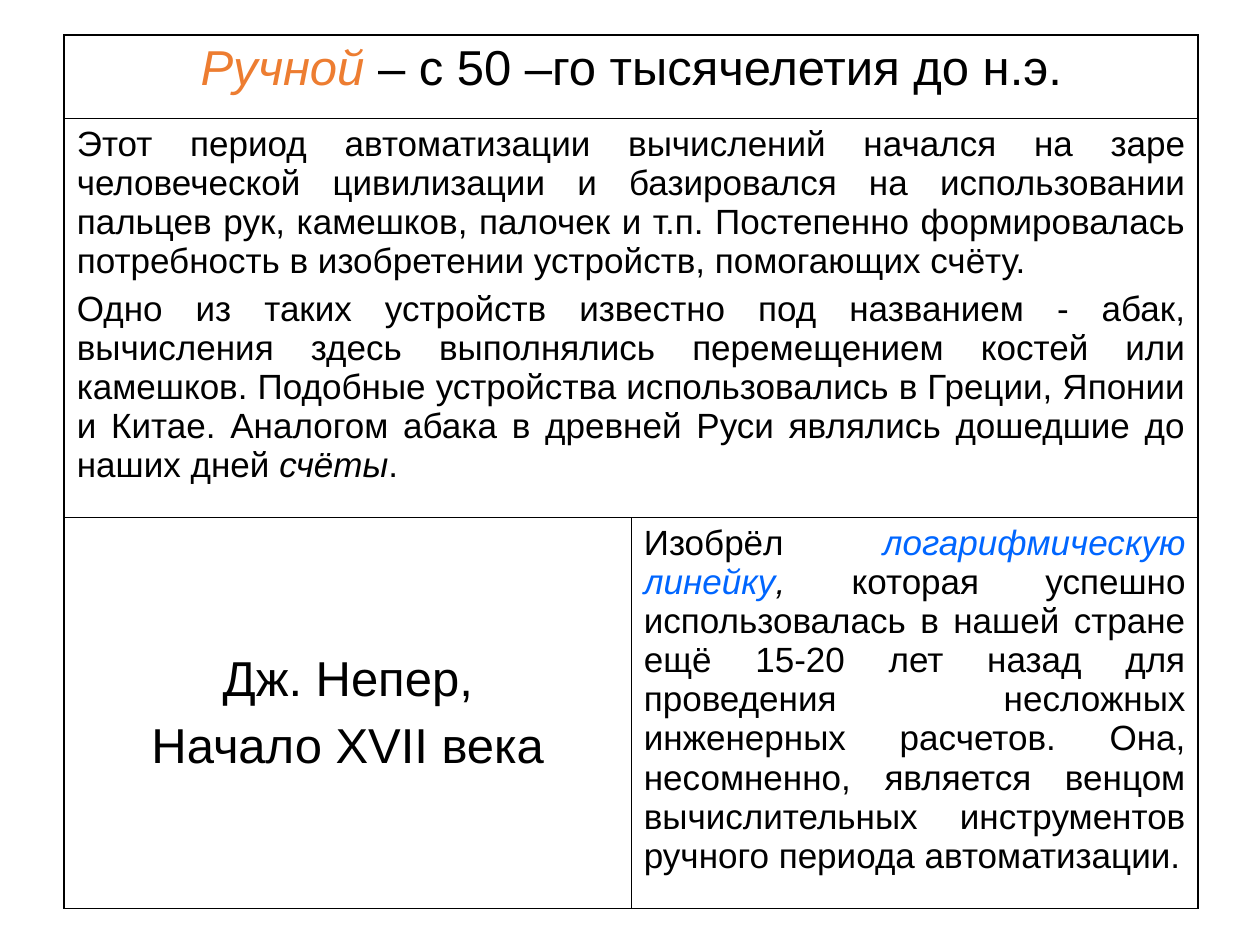
from dataclasses import dataclass

from lxml.etree import SubElement
from pptx import Presentation
from pptx.dml.color import RGBColor
from pptx.enum.text import MSO_ANCHOR, PP_ALIGN
from pptx.oxml.ns import qn
from pptx.util import Inches, Pt


@dataclass(frozen=True)
class Theme:
    font: str = "Arial"
    text: str = "000000"
    orange: str = "ED7D31"
    blue: str = "0066FF"
    background: str = "FFFFFF"
    heading: int = 28
    body: int = 20
    heading_gap: int = 7
    body_gap: int = 5
    outer_line: float = 1.08
    inner_line: float = 0.45


THEME = Theme()

PERIOD = [[
    ("Ручной", THEME.orange, True),
    (" – с 50 –го тысячелетия до н.э.", THEME.text, False),
]]
ABACUS = [
    [("Этот период автоматизации вычислений начался на заре человеческой "
      "цивилизации и базировался на использовании пальцев рук, камешков, "
      "палочек и т.п. Постепенно формировалась потребность в изобретении "
      "устройств, помогающих счёту.", THEME.text, False)],
    [("Одно из таких устройств известно под названием - абак, вычисления "
      "здесь выполнялись перемещением костей или камешков. Подобные "
      "устройства использовались в Греции, Японии и Китае. Аналогом абака "
      "в древней Руси являлись дошедшие до наших дней ", THEME.text, False),
     ("счёты", THEME.text, True),
     (".", THEME.text, False)],
]
INVENTOR = [
    [("Дж. Непер,", THEME.text, False)],
    [("Начало XVII века", THEME.text, False)],
]
SLIDE_RULE = [[
    ("Изобрёл ", THEME.text, False),
    ("логарифмическую линейку", THEME.blue, True),
    (",", THEME.text, True),
    (" которая успешно использовалась в нашей стране ещё 15-20 лет назад для "
     "проведения несложных инженерных расчетов. Она, несомненно, является "
     "венцом вычислительных инструментов ручного периода автоматизации.",
     THEME.text, False),
]]

ROWS = [
    (0.66, [(PERIOD, True)]),
    (3.17, [(ABACUS, False)]),
    (3.1, [(INVENTOR, True), (SLIDE_RULE, False)]),
]
COLUMN_COUNT = 2
LEFT, TOP, WIDTH = 0.51, 0.28, 9


def draw_borders(cell, outer_edges):
    properties = cell._tc.get_or_add_tcPr()
    for edge in "LRTB":
        width = THEME.outer_line if edge in outer_edges else THEME.inner_line
        line = SubElement(properties, qn(f"a:ln{edge}"), w=str(Pt(width)))
        fill = SubElement(line, qn("a:solidFill"))
        SubElement(fill, qn("a:srgbClr"), val=THEME.text)


def write_cell(cell, paragraphs, is_heading):
    frame = cell.text_frame
    for index, runs in enumerate(paragraphs):
        paragraph = frame.add_paragraph() if index else frame.paragraphs[0]
        paragraph.alignment = PP_ALIGN.CENTER if is_heading else PP_ALIGN.JUSTIFY
        if index:
            paragraph.space_before = Pt(THEME.heading_gap if is_heading else THEME.body_gap)
        paragraph.font.name = THEME.font
        paragraph.font.size = Pt(THEME.heading if is_heading else THEME.body)
        for text, color, italic in runs:
            run = paragraph.add_run()
            run.text = text
            run.font.color.rgb = RGBColor.from_string(color)
            run.font.italic = italic


def main():
    presentation = Presentation()
    presentation.slide_width, presentation.slide_height = Inches(10), Inches(7.5)
    slide = presentation.slides.add_slide(presentation.slide_layouts[6])
    height = sum(row_height for row_height, _ in ROWS)
    table = slide.shapes.add_table(
        len(ROWS), COLUMN_COUNT, Inches(LEFT), Inches(TOP), Inches(WIDTH), Inches(height)
    ).table
    table.first_row = table.horz_banding = False

    for row, (row_height, contents) in enumerate(ROWS):
        table.rows[row].height = Inches(row_height)
        if len(contents) < COLUMN_COUNT:
            table.cell(row, 0).merge(table.cell(row, COLUMN_COUNT - 1))
        for column, (paragraphs, is_heading) in enumerate(contents):
            cell = table.cell(row, column)
            outer_edges = {
                edge for edge, is_outer in (
                    ("L", column == 0),
                    ("R", column == len(contents) - 1),
                    ("T", row == 0),
                    ("B", row == len(ROWS) - 1),
                ) if is_outer
            }
            draw_borders(cell, outer_edges)
            cell.fill.solid()
            cell.fill.fore_color.rgb = RGBColor.from_string(THEME.background)
            write_cell(cell, paragraphs, is_heading)
    table.cell(len(ROWS) - 1, 0).vertical_anchor = MSO_ANCHOR.MIDDLE

    presentation.save("out.pptx")


if __name__ == "__main__":
    main()
